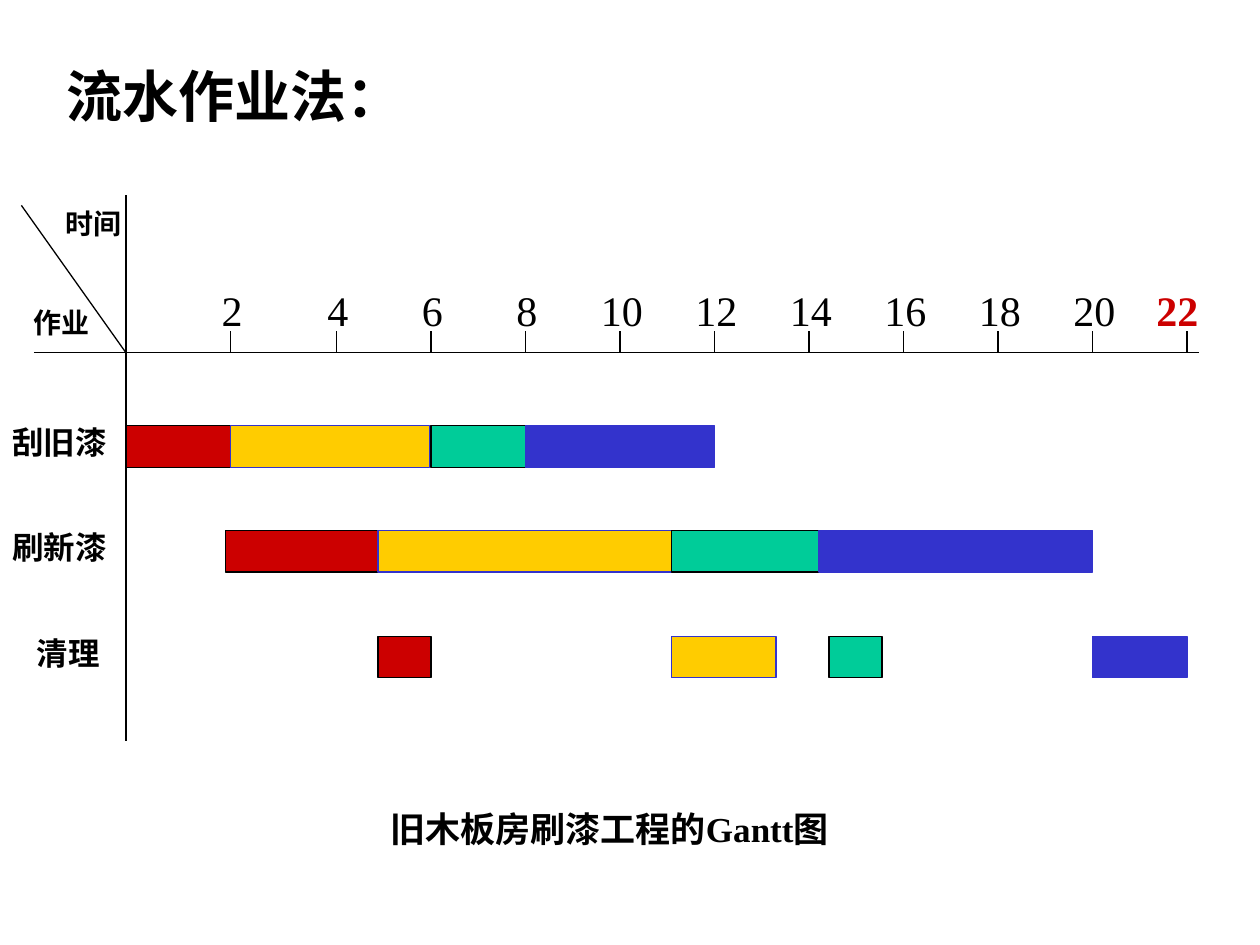
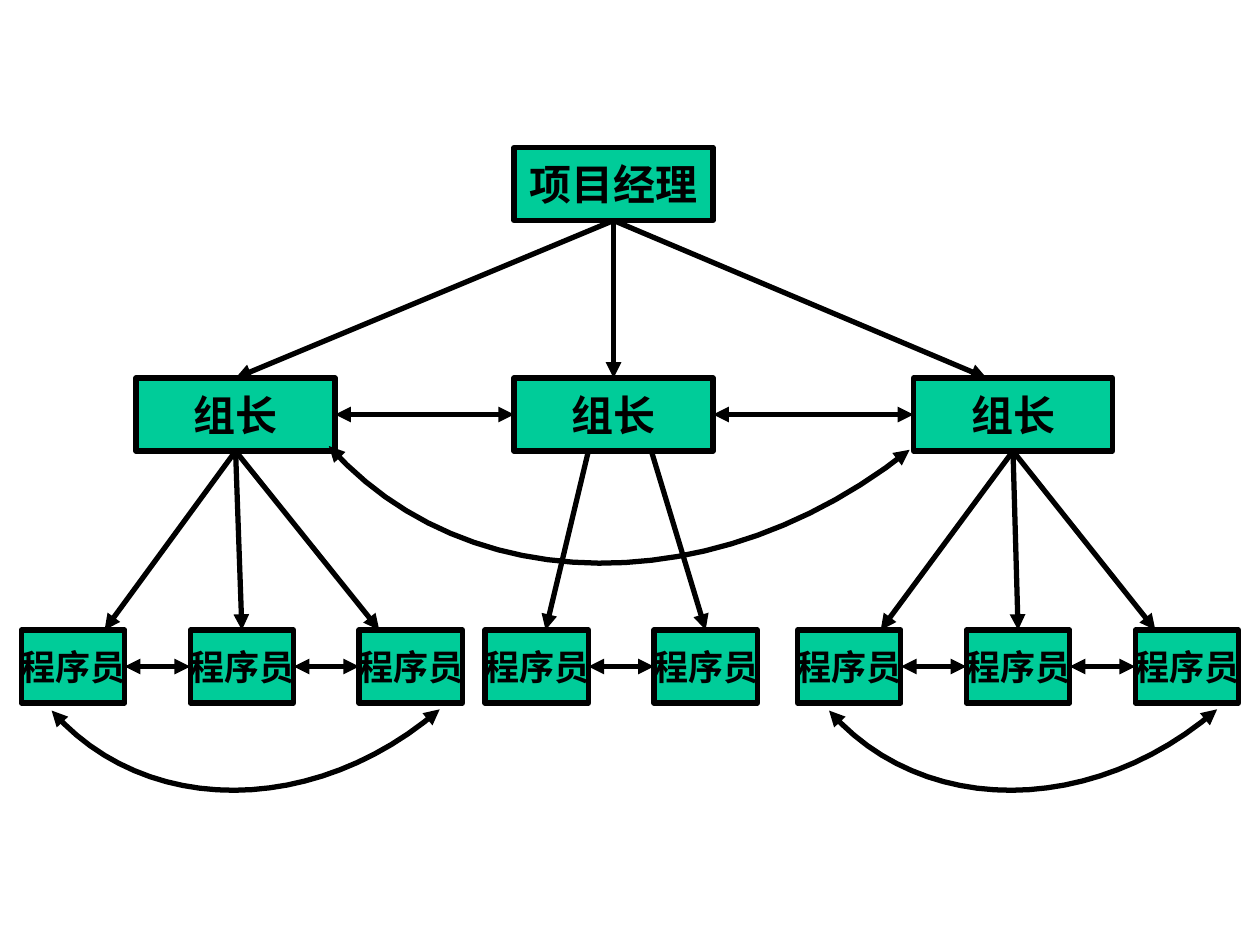
from lxml import etree
from pptx import Presentation
from pptx.dml.color import RGBColor
from pptx.enum.shapes import MSO_CONNECTOR, MSO_SHAPE
from pptx.enum.text import MSO_ANCHOR, MSO_AUTO_SIZE, PP_ALIGN
from pptx.oxml.ns import qn
from pptx.util import Inches, Pt

# Shared look
BLACK, RED, YELLOW, GREEN, BLUE = "000000", "CC0000", "FFCC00", "00CC99", "3333CC"
LATIN, CJK = "Times New Roman", "Noto Sans CJK SC"
TOP, LEFT, BOTTOM, RIGHT = range(4)

# Gantt chart: (left, width) of each wall's bar, in the order of WALLS
WALLS = [(RED, BLACK), (YELLOW, BLUE), (GREEN, BLACK), (BLUE, BLUE)]
JOBS = [
    ("刮旧漆", 3.38, PP_ALIGN.LEFT, [(1, 0.83), (1.83, 1.58), (3.42, 0.75), (4.17, 1.5)]),
    ("刷新漆", 4.21, PP_ALIGN.LEFT, [(1.79, 1.29), (3, 2.33), (5.33, 1.17), (6.5, 2.17)]),
    ("清理", 5.05, PP_ALIGN.CENTER, [(3, 0.42), (5.33, 0.83), (6.58, 0.42), (8.67, 0.75)]),
]
AXIS_Y = 2.8

# Team chart: leader's left, first programmer's left, number of programmers
TEAMS = [(1.08, 0.17, 3), (4.08, 3.85, 2), (7.25, 6.33, 3)]
PROGRAMMER_STEP = 1.34
BOX_H = 0.58


def rgb(color):
    return RGBColor.from_string(color)


def write(tf, text, size=18, bold=True, color=BLACK, font=LATIN, align=PP_ALIGN.LEFT):
    p = tf.paragraphs[0]
    p.alignment = align
    r = p.add_run()
    r.text = text
    r.font.size, r.font.bold, r.font.name = Pt(size), bold, font
    r.font.color.rgb = rgb(color)
    ea = etree.SubElement(r._r.get_or_add_rPr(), qn("a:ea"))
    ea.set("typeface", CJK)


def add_text(s, x, y, w, h, text, **fmt):
    tf = s.shapes.add_textbox(Inches(x), Inches(y), Inches(w), Inches(h)).text_frame
    tf.word_wrap = True
    tf.auto_size = MSO_AUTO_SIZE.SHAPE_TO_FIT_TEXT
    write(tf, text, **fmt)


def add_rect(s, x, y, w, h, fill, line, weight=0.75):
    sp = s.shapes.add_shape(MSO_SHAPE.RECTANGLE, Inches(x), Inches(y), Inches(w), Inches(h))
    sp.shadow.inherit = False
    sp.fill.solid()
    sp.fill.fore_color.rgb = rgb(fill)
    sp.line.color.rgb = rgb(line)
    sp.line.width = Pt(weight)
    return sp


def add_box(s, x, y, w, text, size):
    sp = add_rect(s, x, y, w, BOX_H, GREEN, BLACK, 3)
    tf = sp.text_frame
    tf.word_wrap = False
    tf.vertical_anchor = MSO_ANCHOR.MIDDLE
    write(tf, text, size=size, align=PP_ALIGN.CENTER)
    return sp


def style_line(sp, weight, ends=()):
    sp.line.color.rgb = rgb(BLACK)
    sp.line.width = Pt(weight)
    for end in ends:
        etree.SubElement(sp.line._get_or_add_ln(), qn(f"a:{end}")).set("type", "triangle")


def add_line(s, start, end, weight=0.75, ends=()):
    """Each end is an (x, y) point or a (shape, side) pair."""
    points = [(0, 0) if hasattr(e[0], "shape_id") else e for e in (start, end)]
    (x1, y1), (x2, y2) = points
    c = s.shapes.add_connector(MSO_CONNECTOR.STRAIGHT, Inches(x1), Inches(y1),
                               Inches(x2), Inches(y2))
    if hasattr(start[0], "shape_id"):
        c.begin_connect(*start)
    if hasattr(end[0], "shape_id"):
        c.end_connect(*end)
    style_line(c, weight, ends)
    etree.SubElement(c._element.spPr, qn("a:effectLst"))


def add_arrow(s, start, end):
    add_line(s, start, end, 3, ["tailEnd"])


def add_peer_arrows(s, boxes):
    for left, right in zip(boxes, boxes[1:]):
        add_line(s, (left, RIGHT), (right, LEFT), 3, ["headEnd", "tailEnd"])


def add_curve(s, controls, dx=0, steps=24):
    """Two-headed cubic Bezier through four control points."""
    def at(t):
        weights = ((1 - t) ** 3, 3 * t * (1 - t) ** 2, 3 * t * t * (1 - t), t ** 3)
        x, y = (sum(k * c[i] for k, c in zip(weights, controls)) for i in (0, 1))
        return Inches(x + dx), Inches(y)

    points = [at(i / steps) for i in range(steps + 1)]
    builder = s.shapes.build_freeform(*points[0])
    builder.add_line_segments(points[1:], close=False)
    sp = builder.convert_to_shape()
    sp.shadow.inherit = False
    sp.fill.background()
    style_line(sp, 3, ["headEnd", "tailEnd"])


def build_gantt(s):
    add_text(s, 0.43, 0.44, 9.25, 0.64, "流水作业法：", size=32, font=CJK)

    # Axes and header corner
    add_line(s, (0.27, AXIS_Y), (9.52, AXIS_Y))
    add_line(s, (1, 1.55), (1, 5.88))
    add_line(s, (0.17, 1.63), (1, AXIS_Y))
    add_text(s, 0.42, 1.59, 1, 0.37, "时间", size=16)
    add_text(s, 0.17, 2.38, 1.08, 0.37, "作业", size=16)

    # Time scale
    ticks = [1.83] + [2.67 + 0.75 * i for i in range(10)]
    for hour, x in zip(range(2, 24, 2), ticks):
        add_line(s, (x, 2.63), (x, AXIS_Y))
        last = hour == 22
        shift, w = (0.17, 0.42) if hour < 10 else (0.34 if last else 0.25, 0.67)
        add_text(s, x - shift, 2.21, w, 0.5, str(hour), size=24, bold=last,
                 color=RED if last else BLACK)

    # Jobs
    for name, y, align, bars in JOBS:
        for (x, w), (fill, line) in zip(bars, WALLS):
            add_rect(s, x, y, w, 0.33, fill, line)
        add_text(s, 0, y - 0.07, 1.08, 0.4, name, align=align)

    add_text(s, 3, 6.36, 3.83, 0.44, "旧木板房刷漆工程的Gantt图", size=20)


def build_team(s):
    # Boxes
    manager = add_box(s, 4.08, 1.17, 1.58, "项目经理", 24)
    leaders = [add_box(s, x, 3, 1.58, "组长", 24) for x, _, _ in TEAMS]
    teams = [[add_box(s, first + PROGRAMMER_STEP * i, 5, 0.82, "程序员", 20)
              for i in range(count)] for _, first, count in TEAMS]

    # Manager to leaders
    for end in ((leaders[0], TOP), (leaders[1], TOP), (7.83, 3)):
        add_arrow(s, (manager, BOTTOM), end)

    # Leaders to programmers
    for n, center in ((0, 1.92), (2, 8.08)):
        for end in ((center - 1.09, 5), (teams[n][1], TOP), (center + 1.09, 5)):
            add_arrow(s, (leaders[n], BOTTOM), end)
    add_arrow(s, (4.67, 3.58), (4.33, 5))
    add_arrow(s, (5.17, 3.58), (teams[1][1], TOP))

    # Links between peers
    for boxes in [leaders] + teams:
        add_peer_arrows(s, boxes)
    for dx in (0, 6.17):
        add_curve(s, [(3.49, 5.63), (2.51, 6.48), (1.15, 6.49), (0.41, 5.64)], dx)
    add_curve(s, [(7.22, 3.57), (5.7, 4.78), (3.7, 4.77), (2.61, 3.54)])


def main():
    prs = Presentation()
    prs.slide_width, prs.slide_height = Inches(10), Inches(7.5)
    for build in (build_gantt, build_team):
        build(prs.slides.add_slide(prs.slide_layouts[6]))
    prs.save("out.pptx")


if __name__ == "__main__":
    main()
